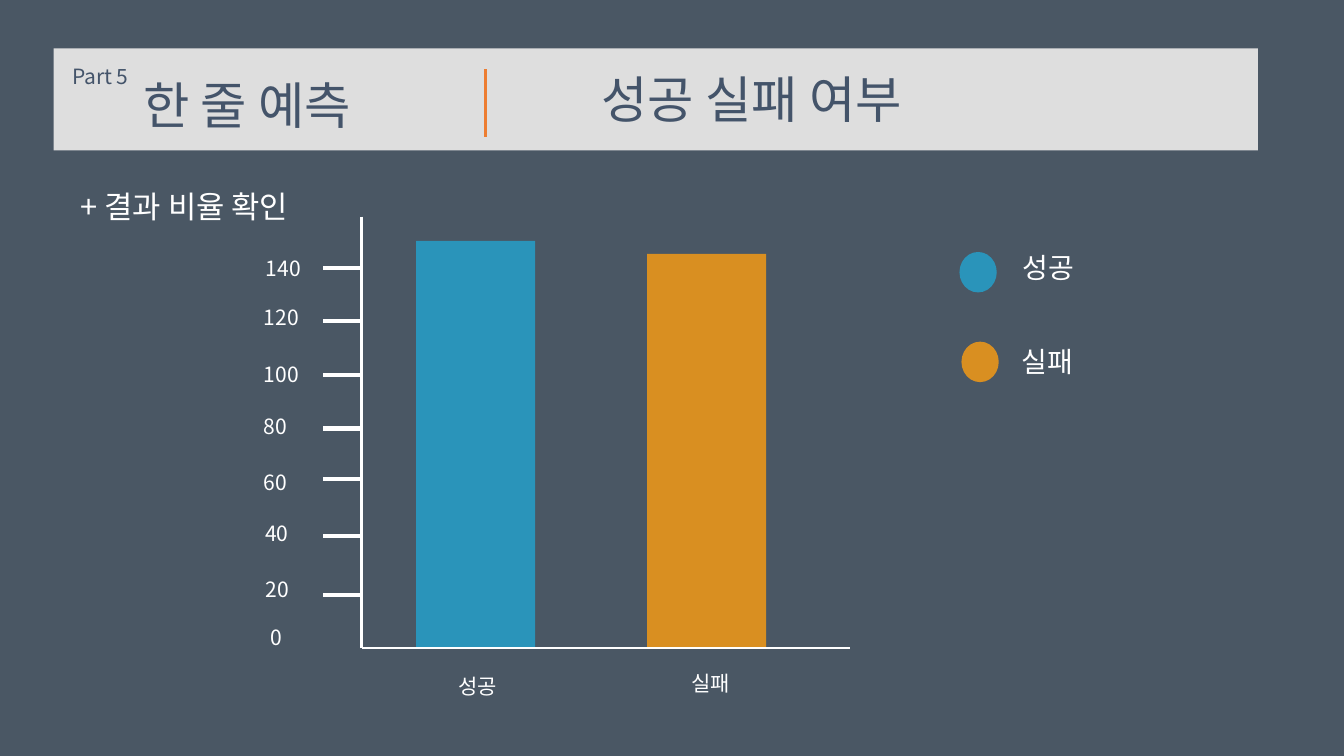
from dataclasses import dataclass

from lxml.etree import SubElement
from pptx import Presentation
from pptx.dml.color import RGBColor
from pptx.enum.shapes import MSO_CONNECTOR as Link, MSO_SHAPE as Kind
from pptx.enum.text import MSO_ANCHOR as Anchor, MSO_AUTO_SIZE as Fit, PP_ALIGN as Align
from pptx.oxml.ns import qn
from pptx.util import Cm, Pt

FACE = "Noto Sans CJK KR"
WHITE, NAVY, SLATE = "FFFFFF", "44546A", "4A5764"
GREY, BLUE, AMBER, RUST = "DEDEDE", "2A94BA", "D98F21", "ED7D31"
AXIS, BASE, TICK = 9.12, 16.33, 8.15

FRAME = {"word_wrap": True, "auto_size": Fit.SHAPE_TO_FIT_TEXT,
         "vertical_anchor": Anchor.TOP}
PARA = {"alignment": Align.LEFT, "space_before": Pt(0), "line_spacing": 1.0}


@dataclass
class Box:
    left: float
    top: float
    width: float
    height: float

    def size(self) -> list:
        return [Cm(n) for n in (self.left, self.top, self.width, self.height)]


@dataclass
class Group:
    name: str
    tint: str
    bar: Box
    label: Box
    dot: Box
    key: Box


@dataclass
class Mark:
    text: str
    left: float
    top: float
    tick: float | None = None


GROUPS = [
    Group("성공", BLUE, Box(10.49, 6.07, 3, 10.26), Box(11.3, 16.84, 1.88, 0.89),
          Box(24.18, 6.35, 0.94, 1.02), Box(25.53, 6.2, 4.32, 1.12)),
    Group("실패", AMBER, Box(16.31, 6.4, 3, 9.93), Box(17.17, 16.76, 1.88, 0.89),
          Box(24.23, 8.61, 0.94, 1.02), Box(25.5, 8.56, 4.32, 1.12)),
]
MARKS = [
    Mark("140", 6.45, 6.32, 6.76), Mark("120", 6.4, 7.54, 8.08),
    Mark("100", 6.4, 8.99, 9.45), Mark("80", 6.4, 10.29, 10.8),
    Mark("60", 6.4, 11.71, 12.07), Mark("40", 6.43, 13, 13.51),
    Mark("20", 6.45, 14.4, 14.99), Mark("0", 6.58, 15.62),
]


def tone(code: str) -> RGBColor:
    return RGBColor.from_string(code)


def apply(item, form: dict) -> None:
    for name, value in form.items():
        setattr(item, name, value)


def write(shape, text: str, size: int, tint: str) -> None:
    frame = shape.text_frame
    apply(frame, FRAME)
    para = frame.paragraphs[0]
    apply(para, PARA)
    run = para.add_run()
    run.text = text
    apply(run.font, {"name": FACE, "size": Pt(size)})
    run.font.color.rgb = tone(tint)
    SubElement(run._r.get_or_add_rPr(), qn("a:ea"), typeface=FACE)


def place(shape, box: Box) -> None:
    apply(shape, dict(zip(("left", "top", "width", "height"), box.size())))


def label(slide, box: Box, text: str, size: int, tint: str = WHITE) -> None:
    write(slide.shapes.add_textbox(*box.size()), text, size, tint)


def block(slide, kind: Kind, box: Box, tint: str):
    shape = slide.shapes.add_shape(kind, *box.size())
    shape.shadow.inherit = False
    shape.fill.solid()
    shape.fill.fore_color.rgb = tone(tint)
    shape.line.fill.background()
    return shape


def rule(slide, ends: tuple, width: float, tint: str = WHITE) -> None:
    line = slide.shapes.add_connector(Link.STRAIGHT, *map(Cm, ends))
    line.line.width = Pt(width)
    line.line.color.rgb = tone(tint)
    SubElement(line.element.spPr, qn("a:effectLst"))


def head(slide) -> None:
    title = slide.shapes.title
    band = block(slide, Kind.RECTANGLE, Box(1.35, 1.22, 30.35, 2.57), GREY)
    title.element.addprevious(band.element)  # band lies behind the title
    place(title, Box(3.35, 1.73, 8.66, 1.8))
    write(title, "한 줄 예측", 36, NAVY)
    label(slide, Box(1.57, 1.47, 3.02, 0.89), "Part 5", 15, NAVY)
    label(slide, Box(14.91, 1.6, 13.46, 1.8), "성공 실패 여부", 36, NAVY)
    rule(slide, (12.24, 1.75, 12.24, 3.45), 2, RUST)


def body(slide) -> None:
    item = slide.placeholders[1]
    place(item, Box(1.78, 4.6, 8.69, 1.19))
    props = item.text_frame.paragraphs[0]._p.get_or_add_pPr()
    apply_xml = {"marL": "0", "indent": "0"}
    for name, value in apply_xml.items():
        props.set(name, value)
    SubElement(props, qn("a:buNone"))
    write(item, "+ 결과 비율 확인", 22, WHITE)


def graph(slide) -> None:
    # Bars, their names and the legend
    for group in GROUPS:
        block(slide, Kind.RECTANGLE, group.bar, group.tint)
        label(slide, group.label, group.name, 15)
        block(slide, Kind.FLOWCHART_CONNECTOR, group.dot, group.tint)
        label(slide, group.key, group.name, 20)
    # Axes
    rule(slide, (AXIS, 5.46, AXIS, BASE), 2)
    rule(slide, (21.41, BASE, AXIS, BASE), 2)
    # Scale
    for mark in MARKS:
        label(slide, Box(mark.left, mark.top, 1.88, 0.89), mark.text, 15)
        if mark.tick is not None:
            rule(slide, (TICK, mark.tick, AXIS, mark.tick), 3)


def main() -> None:
    deck = Presentation()
    apply(deck, {"slide_width": Cm(33.87), "slide_height": Cm(19.05)})
    slide = deck.slides.add_slide(deck.slide_layouts[1])
    fill = slide.background.fill
    fill.solid()
    fill.fore_color.rgb = tone(SLATE)
    head(slide)
    body(slide)
    graph(slide)
    deck.save("out.pptx")


if __name__ == "__main__":
    main()
